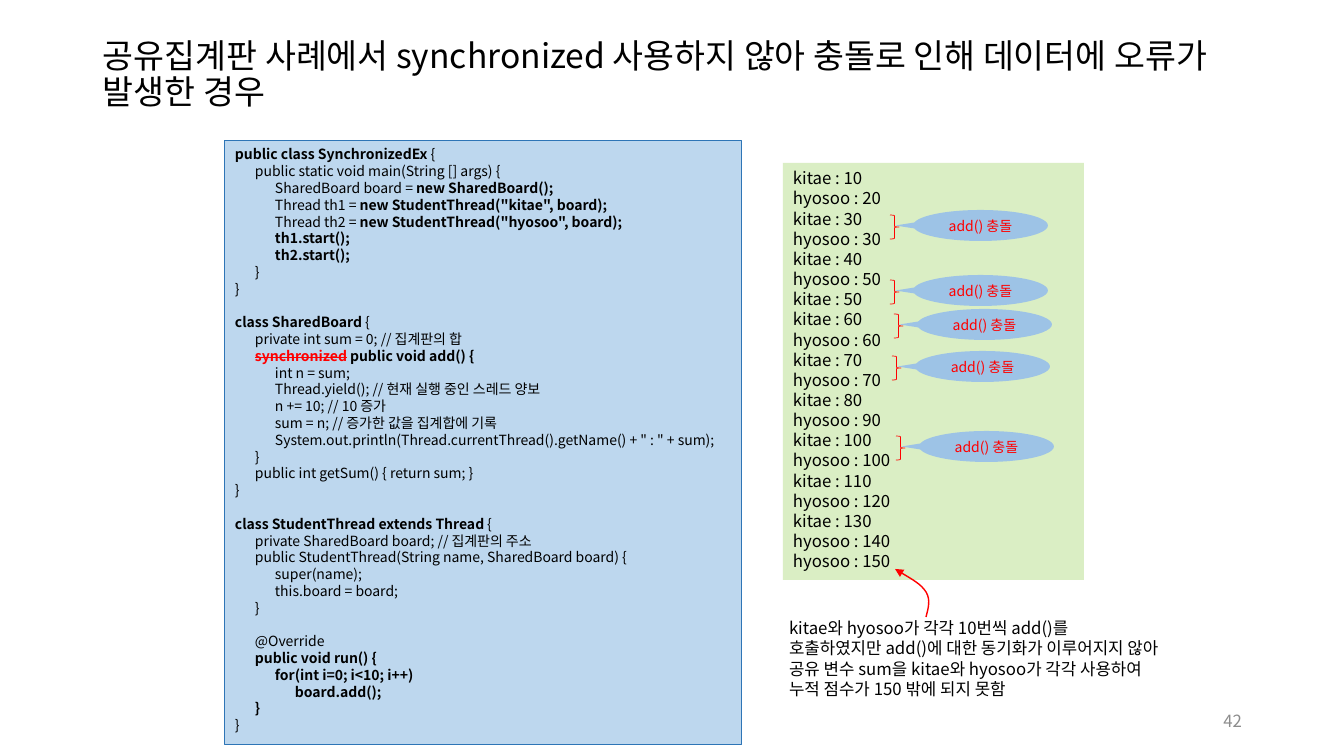
from dataclasses import dataclass

from lxml.etree import SubElement
from pptx import Presentation
from pptx.dml.color import RGBColor
from pptx.enum.shapes import MSO_SHAPE
from pptx.enum.text import MSO_ANCHOR, MSO_AUTO_SIZE, PP_ALIGN
from pptx.oxml.ns import qn
from pptx.util import Pt

SLIDE_SIZE = 1344, 756
EMU_PER_PIXEL = 12192000 / 1344


def emu(pixels):
    return round(pixels * EMU_PER_PIXEL)


@dataclass(frozen=True)
class Theme:
    font: str = "Noto Sans CJK KR"
    ink: str = "000000"
    alert: str = "FF0000"
    muted: str = "8C8C8C"
    code_fill: str = "BDD7EE"
    code_edge: str = "2E75B6"
    output_fill: str = "DAEEC4"
    callout_fill: str = "9DC3E6"
    title_size: int = 24
    body_size: int = 12
    code_size: int = 10
    indent: int = 20


THEME = Theme()


def write(frame, text, size=THEME.body_size, color=THEME.ink, align=PP_ALIGN.LEFT,
          anchor=MSO_ANCHOR.TOP, leading=1.2, margins=(10, 5)):
    frame.word_wrap = True
    frame.auto_size = MSO_AUTO_SIZE.NONE
    frame.vertical_anchor = anchor
    frame.margin_left = frame.margin_right = emu(margins[0])
    frame.margin_top = frame.margin_bottom = emu(margins[1])
    paragraph, gap = frame.paragraphs[0], 0
    for number, line in enumerate(text.split("\n")):
        if not line:
            gap += size * leading
            continue
        if number:
            paragraph = frame.add_paragraph()
        content = line.lstrip("\t")
        properties = paragraph._p.get_or_add_pPr()
        properties.set("marL", str(emu(THEME.indent * (len(line) - len(content)))))
        properties.set("indent", "0")
        paragraph.alignment = align
        paragraph.line_spacing = Pt(size * leading)
        paragraph.space_before, gap = Pt(gap), 0
        for position, part in enumerate(content.split("|")):
            if not part:
                continue
            struck = part.startswith("~")
            run = paragraph.add_run()
            run.text = part.lstrip("~")
            run.font.name = THEME.font
            run.font.size = Pt(size)
            run.font.bold = position % 2 == 1
            run.font.color.rgb = RGBColor.from_string(THEME.alert if struck else color)
            run_properties = run._r.get_or_add_rPr()
            if struck:
                run_properties.set("strike", "sngStrike")
            SubElement(run_properties, qn("a:ea")).set("typeface", THEME.font)


class SlideWriter:
    def __init__(self, slide):
        self.slide = slide

    def title(self, text, *box):
        heading = self.slide.shapes.title
        heading.left, heading.top, heading.width, heading.height = map(emu, box)
        write(heading.text_frame, text, size=THEME.title_size,
              anchor=MSO_ANCHOR.MIDDLE, leading=1.08)

    def label(self, text, *box, **text_format):
        write(self.slide.shapes.add_textbox(*map(emu, box)).text_frame, text, **text_format)

    def style(self, shape, fill=None, edge=None, weight=0.5):
        shape.shadow.inherit = False
        if fill:
            shape.fill.solid()
            shape.fill.fore_color.rgb = RGBColor.from_string(fill)
        else:
            shape.fill.background()
        if edge:
            shape.line.color.rgb = RGBColor.from_string(edge)
            shape.line.width = Pt(weight)
        else:
            shape.line.fill.background()

    def shape(self, kind, *box, **look):
        shape = self.slide.shapes.add_shape(kind, *map(emu, box))
        self.style(shape, **look)
        return shape

    def panel(self, text, *box, size=THEME.body_size, **look):
        panel = self.shape(MSO_SHAPE.RECTANGLE, *box, **look)
        write(panel.text_frame, text, size=size)

    def collision(self, text, left, top):
        callout = self.shape(MSO_SHAPE.OVAL_CALLOUT, left, top, 135, 31,
                             fill=THEME.callout_fill)
        callout.adjustments[0], callout.adjustments[1] = -0.63, 0
        write(callout.text_frame, text, size=THEME.code_size, color=THEME.alert,
              align=PP_ALIGN.CENTER, anchor=MSO_ANCHOR.MIDDLE, margins=(0, 0))
        self.shape(MSO_SHAPE.RIGHT_BRACE, left - 23, top + 5, 9, 24, edge=THEME.alert)

    def curved_arrow(self, start, *points):
        builder = self.slide.shapes.build_freeform(*start, scale=EMU_PER_PIXEL)
        builder.add_line_segments(points, close=False)
        arrow = builder.convert_to_shape()
        self.style(arrow, edge=THEME.alert, weight=1)
        segments = arrow._element.xpath(".//a:lnTo")
        outline = segments[0].getparent()
        for first in range(0, len(segments), 3):
            curve = SubElement(outline, qn("a:cubicBezTo"))
            for segment in segments[first:first + 3]:
                curve.append(segment[0])
                outline.remove(segment)
        SubElement(arrow.line._get_or_add_ln(), qn("a:tailEnd")).set("type", "triangle")


MAIN_CLASS = """|public class SynchronizedEx |{
\tpublic static void main(String [] args) {
\t\tSharedBoard board = |new SharedBoard(); |
\t\tThread th1 = |new StudentThread("kitae", board);|
\t\tThread th2 = |new StudentThread("hyosoo", board);|
\t\t|th1.start();|
\t\t|th2.start();|
\t}
}"""

BOARD_CLASS = """|class SharedBoard| {
\tprivate int sum = 0; // 집계판의 합
\t|~synchronized|| public void add() {|
\t\tint n = sum;
\t\tThread.yield(); // 현재 실행 중인 스레드 양보
\t\tn += 10; // 10 증가
\t\tsum = n; // 증가한 값을 집계합에 기록
\t\tSystem.out.println(Thread.currentThread().getName() + " : " + sum);
\t}
\tpublic int getSum() { return sum; }
}"""

STUDENT_CLASS = """|class StudentThread extends Thread |{
\tprivate SharedBoard board; // 집계판의 주소
\tpublic StudentThread(String name, SharedBoard board) {
\t\tsuper(name);
\t\tthis.board = board;
\t}

\t@Override
\t|public void run() {|
\t\t|for(int i=0; i<10; i++)|
\t\t\t|board.add();|
\t|}|
}"""

OUTPUT = """kitae : 10
hyosoo : 20
kitae : 30
hyosoo : 30
kitae : 40
hyosoo : 50
kitae : 50
kitae : 60
hyosoo : 60
kitae : 70
hyosoo : 70
kitae : 80
hyosoo : 90
kitae : 100
hyosoo : 100
kitae : 110
hyosoo : 120
kitae : 130
hyosoo : 140
hyosoo : 150"""

COLLISIONS = [(913, 210), (913, 275), (917, 309), (915, 351), (919, 431)]

presentation = Presentation()
presentation.slide_width, presentation.slide_height = map(emu, SLIDE_SIZE)
title_only = presentation.slide_layouts[5]
writer = SlideWriter(presentation.slides.add_slide(title_only))

writer.title("공유집계판 사례에서 synchronized 사용하지 않아 충돌로 인해 데이터에 오류가 발생한 경우",
             93, 2, 1213, 146)
writer.label("kitae와 hyosoo가 각각 10번씩 add()를 호출하였지만 add()에 대한 동기화가 이루어지지 않아 "
             "공유 변수 sum을 kitae와 hyosoo가 각각 사용하여 누적 점수가 150 밖에 되지 못함",
             779, 613, 393, 92)
writer.panel(OUTPUT, 783, 163, 301, 417, fill=THEME.output_fill)
for left, top in COLLISIONS:
    writer.collision("add() 충돌", left, top)
writer.label("42", 950, 701, 302, 40, color=THEME.muted,
             align=PP_ALIGN.RIGHT, anchor=MSO_ANCHOR.MIDDLE)
writer.curved_arrow((926, 617), (928, 609), (931, 600), (926, 592),
                    (921, 584), (908, 577), (895, 569))
writer.panel("\n\n".join([MAIN_CLASS, BOARD_CLASS, STUDENT_CLASS]), 225, 141, 517, 604,
             size=THEME.code_size, fill=THEME.code_fill, edge=THEME.code_edge, weight=0.75)

presentation.save("out.pptx")
